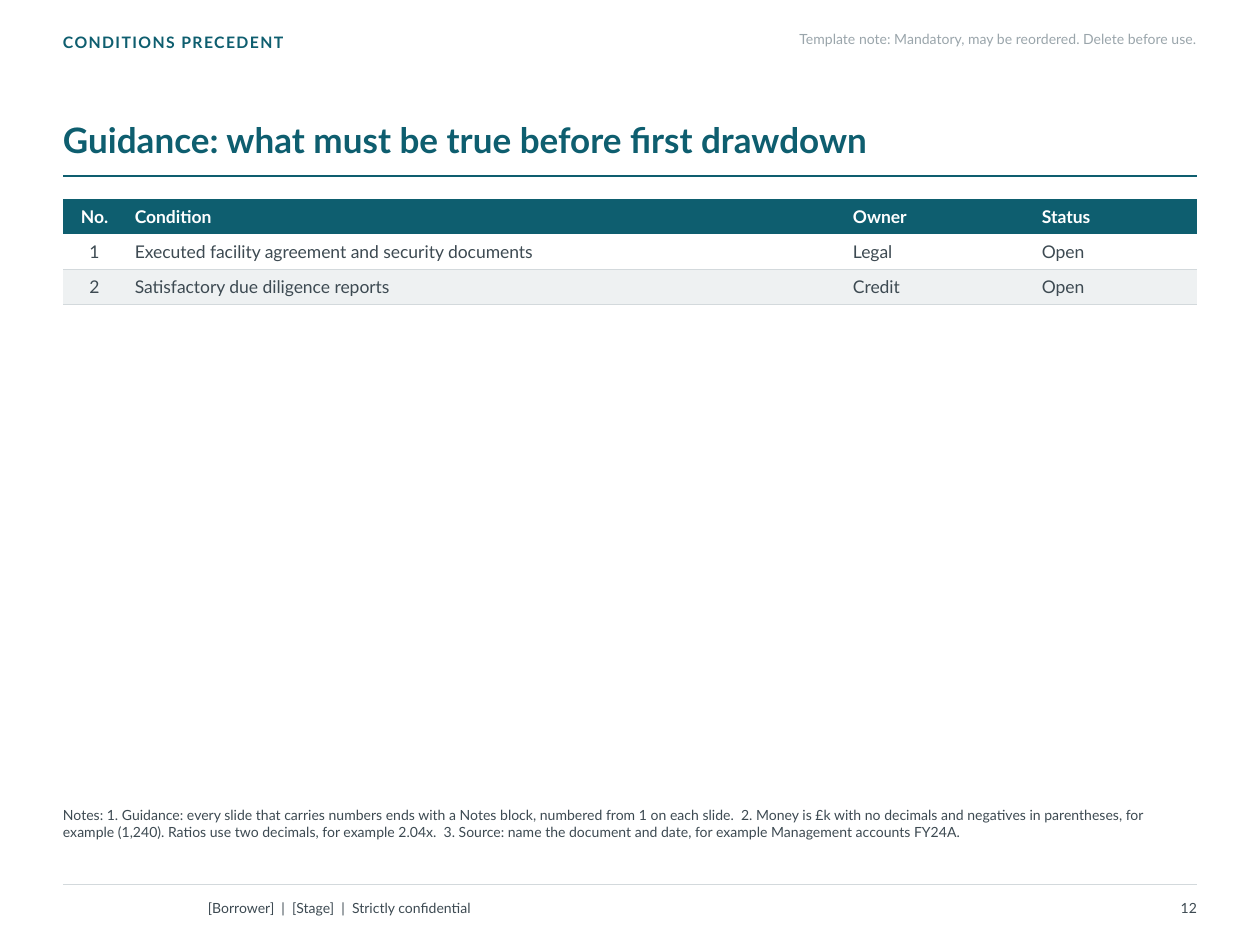
"""Build the conditions precedent guidance slide."""
from dataclasses import dataclass

from lxml import etree
from pptx import Presentation
from pptx.dml.color import RGBColor
from pptx.enum.shapes import MSO_CONNECTOR
from pptx.enum.text import MSO_ANCHOR, MSO_AUTO_SIZE, PP_ALIGN
from pptx.oxml.ns import qn
from pptx.util import Inches, Pt

STRAIGHT = MSO_CONNECTOR.STRAIGHT
TOP, MIDDLE, BOTTOM = MSO_ANCHOR.TOP, MSO_ANCHOR.MIDDLE, MSO_ANCHOR.BOTTOM
LEFT, CENTER, RIGHT = PP_ALIGN.LEFT, PP_ALIGN.CENTER, PP_ALIGN.RIGHT
FIT_SHAPE = MSO_AUTO_SIZE.SHAPE_TO_FIT_TEXT
NO_GRID_STYLE = "{2D5ABB26-0587-4C30-8999-92F81FD0307C}"


@dataclass(frozen=True)
class Theme:
    """Colours, type sizes and font of the slide."""
    font: str = "Lato"
    teal: str = "0E5E6F"
    ink: str = "3D4A52"
    muted: str = "9AA5AB"
    rule: str = "D3D9DC"
    band: str = "EEF1F2"
    white: str = "FFFFFF"
    title: int = 20
    table: int = 10
    kicker: int = 9
    small: int = 8


THEME = Theme()
MARGIN, WIDTH = 0.5, 9
COLUMNS = (0.5, 5.7, 1.5, 1.3)
ROW_HEIGHT = 0.28
ROWS = (
    ("No.", "Condition", "Owner", "Status"),
    ("1", "Executed facility agreement and security documents", "Legal", "Open"),
    ("2", "Satisfactory due diligence reports", "Credit", "Open"),
)
NOTES = (
    "Notes: 1. Guidance: every slide that carries numbers ends with a Notes block, "
    "numbered from 1 on each slide.  2. Money is £k with no decimals and negatives in "
    "parentheses, for example (1,240). Ratios use two decimals, for example 2.04x.  "
    "3. Source: name the document and date, for example Management accounts FY24A."
)


def write(tf, text, size=THEME.small, color=THEME.ink, bold=False, align=LEFT,
          line_spacing=None, tracking=None):
    """Put one formatted paragraph into a text frame."""
    p = tf.paragraphs[0]
    p.alignment = align
    if line_spacing:
        p.line_spacing = line_spacing
    r = p.add_run()
    r.text = text
    r.font.name = THEME.font
    r.font.size = Pt(size)
    r.font.bold = bold
    r.font.color.rgb = RGBColor.from_string(color)
    if tracking:
        r.font._element.set("spc", str(round(tracking * 100)))


def set_margins(target, insets):
    """Set left, top, right and bottom margins of a frame or cell."""
    for side, inset in zip(("left", "top", "right", "bottom"), insets):
        setattr(target, f"margin_{side}", Inches(inset))


def add_text(s, text, box, insets=(0, 0, 0, 0), anchor=TOP, auto_size=None, **fmt):
    """Add a wrapping text box."""
    tf = s.shapes.add_textbox(*map(Inches, box)).text_frame
    tf.word_wrap = True
    tf.vertical_anchor = anchor
    if auto_size is not None:
        tf.auto_size = auto_size
    set_margins(tf, insets)
    write(tf, text, **fmt)


def add_rule(s, y, color, width):
    """Add a horizontal rule between the slide margins."""
    sp = s.shapes.add_connector(STRAIGHT, Inches(MARGIN), Inches(y),
                                Inches(MARGIN + WIDTH), Inches(y))
    sp.line.color.rgb = RGBColor.from_string(color)
    sp.line.width = Pt(width)
    etree.SubElement(sp._element.spPr, qn("a:effectLst"))


def add_bottom_border(cell, color, width):
    """Draw a line under a table cell."""
    ln = etree.Element(qn("a:lnB"), w=str(Pt(width)))
    fill = etree.SubElement(ln, qn("a:solidFill"))
    etree.SubElement(fill, qn("a:srgbClr"), val=color)
    cell._tc.get_or_add_tcPr().insert(0, ln)


def style_cell(cell, text, row, col):
    """Fill, border and write one table cell."""
    header = row == 0
    fill = THEME.teal if header else THEME.band if row % 2 == 0 else None
    if fill:
        cell.fill.solid()
        cell.fill.fore_color.rgb = RGBColor.from_string(fill)
    else:
        cell.fill.background()
    if not header:
        add_bottom_border(cell, THEME.rule, 0.5)
    cell.vertical_anchor = MIDDLE
    set_margins(cell, (0.07, 0.04, 0.07, 0.04))
    write(cell.text_frame, text, size=THEME.table, bold=header,
          color=THEME.white if header else THEME.ink,
          align=CENTER if col == 0 else LEFT)


def add_conditions(s, top):
    """Add the table of conditions."""
    table = s.shapes.add_table(len(ROWS), len(COLUMNS), Inches(MARGIN), Inches(top),
                               Inches(WIDTH), Inches(ROW_HEIGHT * len(ROWS))).table
    table._tbl.tblPr.find(qn("a:tableStyleId")).text = NO_GRID_STYLE
    table.horz_banding = False
    for column, width in zip(table.columns, COLUMNS):
        column.width = Inches(width)
    for i, texts in enumerate(ROWS):
        table.rows[i].height = Inches(ROW_HEIGHT)
        for j, text in enumerate(texts):
            style_cell(table.cell(i, j), text, i, j)


def main():
    """Build and save the slide."""
    prs = Presentation()
    prs.slide_width, prs.slide_height = Inches(10), Inches(7.5)
    s = prs.slides.add_slide(prs.slide_layouts[6])

    add_rule(s, 7.02, THEME.rule, 0.75)
    add_rule(s, 1.4, THEME.teal, 1.25)
    add_text(s, "CONDITIONS PRECEDENT", (MARGIN, 0.26, 7, 0.24), size=THEME.kicker,
             color=THEME.teal, bold=True, tracking=0.8)
    add_text(s, "Guidance: what must be true before first drawdown",
             (MARGIN, 0.5, WIDTH, 0.82), insets=(0, 0, 0, 0.04), anchor=BOTTOM,
             size=THEME.title, color=THEME.teal, bold=True, line_spacing=0.92)
    add_conditions(s, 1.58)
    add_text(s, NOTES, (MARGIN, 6.4, WIDTH, 0.58))
    add_text(s, "[Borrower]  |  [Stage]  |  Strictly confidential",
             (1.65, 7.08, 5.6, 0.26), insets=(0, 0.05, 0.1, 0.05), anchor=MIDDLE)
    add_text(s, "12", (8.5, 7.08, 1, 0.26), insets=(0.1, 0.05, 0, 0.05),
             anchor=MIDDLE, align=RIGHT)
    add_text(s, "Template note: Mandatory, may be reordered. Delete before use.",
             (5.4, 0.24, 4.1, 0.24), auto_size=FIT_SHAPE, color=THEME.muted, align=RIGHT)

    prs.save("out.pptx")


if __name__ == "__main__":
    main()
